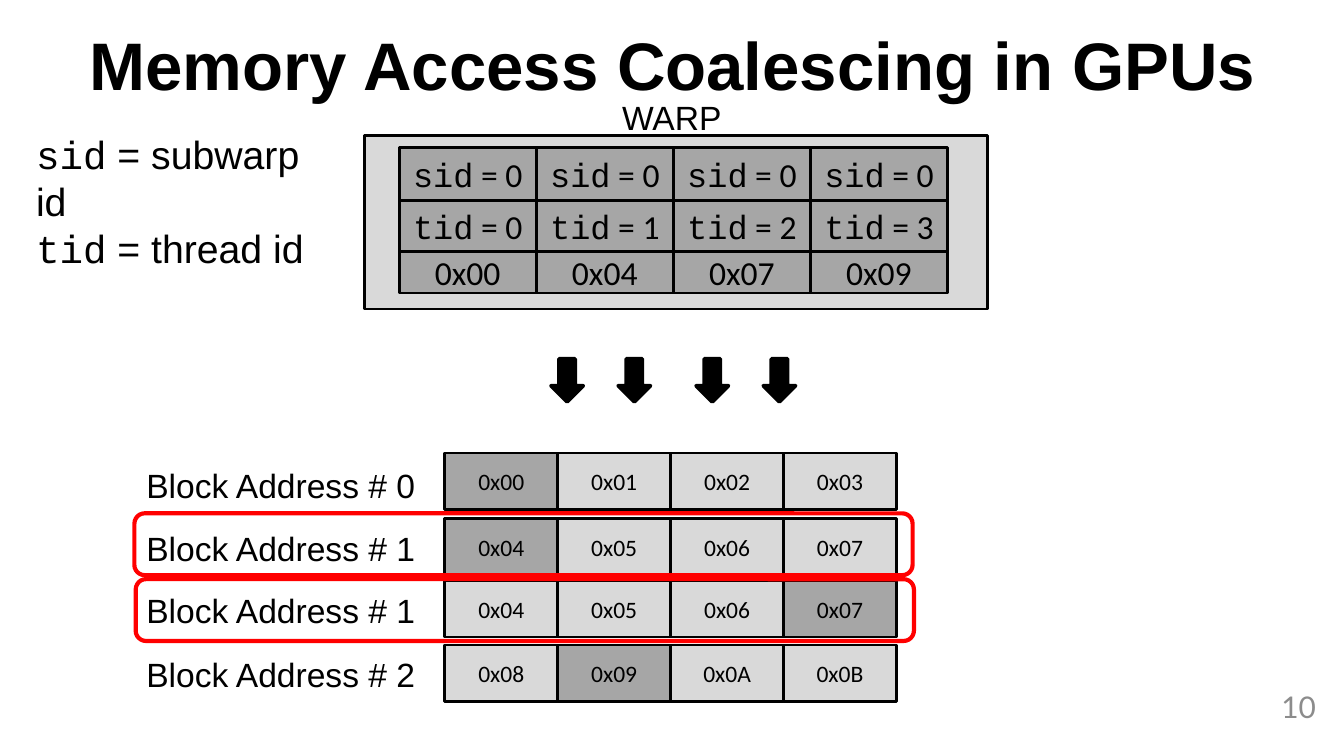
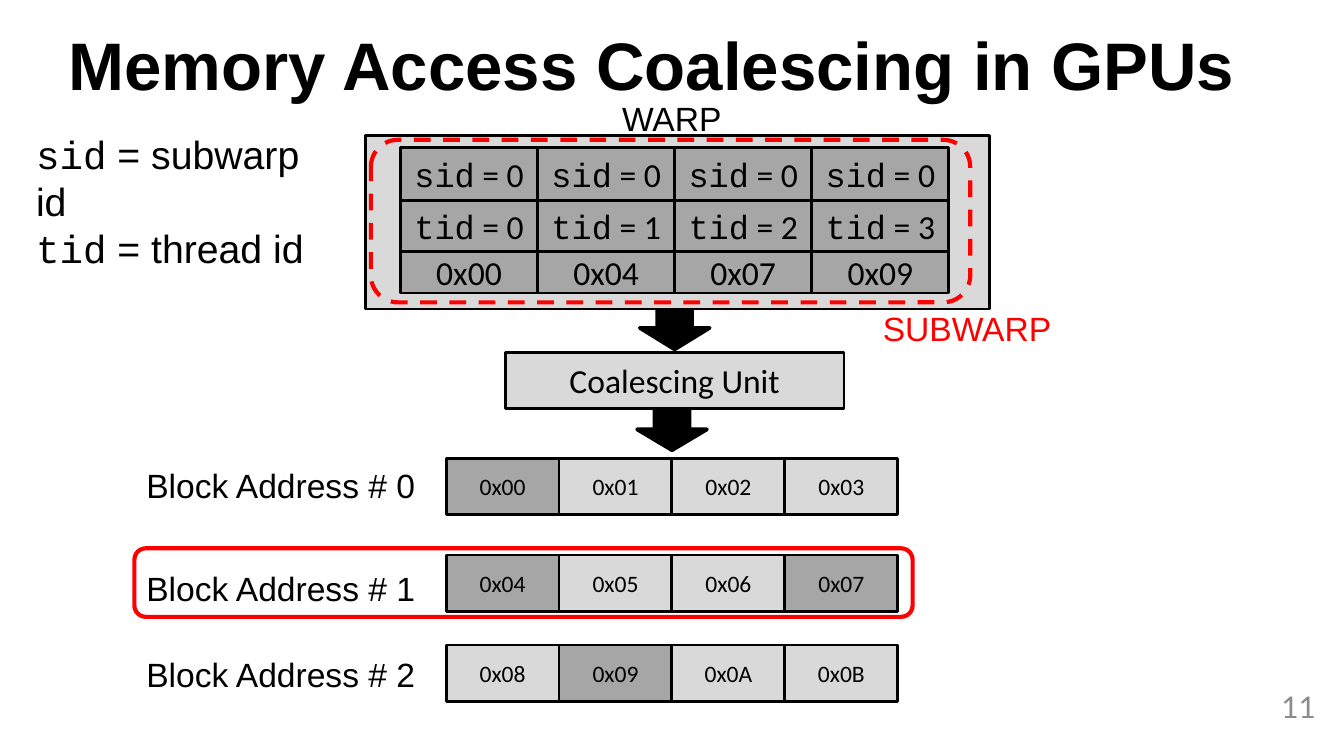
"""Build two slides on memory access coalescing in GPUs."""
from dataclasses import dataclass
from typing import NamedTuple, Optional

from pptx import Presentation
from pptx.dml.color import RGBColor
from pptx.enum.dml import MSO_LINE
from pptx.enum.shapes import MSO_SHAPE
from pptx.enum.text import MSO_ANCHOR, PP_ALIGN
from pptx.util import Inches, Pt

RECT = MSO_SHAPE.RECTANGLE
ROUNDED = MSO_SHAPE.ROUNDED_RECTANGLE
DOWN_ARROW = MSO_SHAPE.DOWN_ARROW
LEFT, CENTER, RIGHT = PP_ALIGN.LEFT, PP_ALIGN.CENTER, PP_ALIGN.RIGHT
TOP, MIDDLE = MSO_ANCHOR.TOP, MSO_ANCHOR.MIDDLE
DASH = MSO_LINE.DASH


@dataclass(frozen=True)
class Theme:
    """Colours, fonts and sizes shared by the slides."""
    ink: RGBColor = RGBColor(0x00, 0x00, 0x00)
    used: RGBColor = RGBColor(0xA6, 0xA6, 0xA6)
    pale: RGBColor = RGBColor(0xD9, 0xD9, 0xD9)
    accent: RGBColor = RGBColor(0xFF, 0x00, 0x00)
    muted: RGBColor = RGBColor(0x8C, 0x8C, 0x8C)
    sans: str = "Arial"
    cell: str = "Calibri"
    mono: str = "Courier New"
    number: str = "Lato"
    title_size: float = 36
    legend_size: float = 21
    body_size: float = 18
    number_size: float = 16
    address_size: float = 12.6
    outline: float = 1.5
    arrow_outline: float = 2
    highlight_outline: float = 2.25


THEME = Theme()


class Area(NamedTuple):
    """Left, top, width and height in inches."""
    left: float
    top: float
    width: float
    height: float


class Span(NamedTuple):
    """A piece of text in one font."""
    text: str
    font: str = THEME.sans


class Style(NamedTuple):
    """Look of a piece of text."""
    size: float = THEME.body_size
    color: RGBColor = THEME.ink
    bold: bool = False
    align: PP_ALIGN = LEFT
    anchor: MSO_ANCHOR = TOP
    wrap: bool = False


class Block(NamedTuple):
    """A memory block row with the offsets that are accessed."""
    number: int
    top: float
    label_top: float
    accessed: tuple


@dataclass(frozen=True)
class Scene:
    """Everything that differs between the slides."""
    page: int
    title_width: float
    shift: float
    warp_label_top: float
    blocks: tuple
    highlights: tuple
    arrows: tuple
    subwarp: Optional[Area] = None
    unit: Optional[Area] = None


TITLE = "Memory Access Coalescing in GPUs"
WARP_ADDRESSES = ("0x00", "0x04", "0x07", "0x09")
CELL_STYLE = Style(align=CENTER, anchor=MIDDLE)
ADDRESS_STYLE = CELL_STYLE._replace(size=THEME.address_size)
LEGEND = (
    (Span("sid", THEME.mono), Span(" = subwarp id")),
    (Span("tid", THEME.mono), Span(" = thread id")),
)
BLOCK_SIZE = 4

SCENES = (
    Scene(
        page=10, title_width=9.77, shift=0, warp_label_top=0.67,
        blocks=(
            Block(0, 3.37, 3.41, (0,)),
            Block(1, 3.86, 3.88, (0,)),
            Block(1, 4.32, 4.34, (3,)),
            Block(2, 4.8, 4.82, (1,)),
        ),
        highlights=(Area(1, 3.82, 5.79, 0.46), Area(1.01, 4.31, 5.79, 0.46)),
        arrows=tuple(Area(left, 2.67, 0.24, 0.32) for left in (4.1, 4.6, 5.18, 5.68)),
    ),
    Scene(
        page=11, title_width=9.46, shift=0.01, warp_label_top=0.68,
        blocks=(
            Block(0, 3.41, 3.41, (0,)),
            Block(1, 4.13, 4.18, (0, 3)),
            Block(2, 4.8, 4.82, (1,)),
        ),
        highlights=(Area(1, 4.08, 5.79, 0.51),),
        arrows=(Area(4.76, 2.28, 0.52, 0.32), Area(4.74, 3.04, 0.52, 0.31)),
        subwarp=Area(2.76, 1.04, 4.46, 1.21),
        unit=Area(3.76, 2.62, 2.52, 0.42),
    ),
)


def lengths(area: Area) -> list:
    """Convert an area to lengths."""
    return [Inches(value) for value in area]


def write(shape, lines: tuple, style: Style) -> None:
    """Fill a shape with lines of spans."""
    frame = shape.text_frame
    frame.word_wrap = style.wrap
    frame.vertical_anchor = style.anchor
    for index, line in enumerate(lines):
        para = frame.add_paragraph() if index else frame.paragraphs[0]
        para.alignment = style.align
        for span in line:
            run = para.add_run()
            run.text = span.text
            run.font.name = span.font
            run.font.size = Pt(style.size)
            run.font.bold = style.bold
            run.font.color.rgb = style.color


def add_text(page, area: Area, lines: tuple, style: Style = Style()) -> None:
    """Add a text box."""
    write(page.shapes.add_textbox(*lengths(area)), lines, style)


def add_figure(page, kind: MSO_SHAPE, area: Area, fill: Optional[RGBColor],
               line: RGBColor = THEME.ink, weight: float = THEME.outline):
    """Add an outlined shape, hollow when it has no fill."""
    shape = page.shapes.add_shape(kind, *lengths(area))
    shape.shadow.inherit = False
    if fill is None:
        shape.fill.background()
    else:
        shape.fill.solid()
        shape.fill.fore_color.rgb = fill
    shape.line.color.rgb = line
    shape.line.width = Pt(weight)
    return shape


def add_cell(page, area: Area, fill: RGBColor, spans: tuple,
             style: Style = CELL_STYLE) -> None:
    """Add a rectangle with one centred line."""
    shape = add_figure(page, RECT, area, fill)
    frame = shape.text_frame
    frame.margin_left = frame.margin_right = Inches(0.03)
    frame.margin_top = frame.margin_bottom = Inches(0.01)
    write(shape, (spans,), style)


def add_highlight(page, area: Area):
    """Add a hollow red rounded frame."""
    return add_figure(page, ROUNDED, area, None, THEME.accent, THEME.highlight_outline)


def add_frame(page, scene: Scene) -> None:
    """Add the title, the page number and the legend."""
    title_style = Style(THEME.title_size, bold=True, align=CENTER, anchor=MIDDLE, wrap=True)
    add_text(page, Area(0.12, 0.01, scene.title_width, 0.93), ((Span(TITLE),),), title_style)
    number_style = Style(THEME.number_size, THEME.muted, align=RIGHT, anchor=MIDDLE, wrap=True)
    add_text(page, Area(7.56, 5.11, 2.33, 0.3),
             ((Span(str(scene.page), THEME.number),),), number_style)
    add_text(page, Area(0.17, 0.92, 2.4, 1.15), LEGEND, Style(THEME.legend_size, wrap=True))


def add_warp(page, scene: Scene) -> None:
    """Add the warp panel with its threads."""
    add_figure(page, RECT, Area(2.71 + scene.shift, 1.01, 4.64, 1.29), THEME.pale)
    for thread, address in enumerate(WARP_ADDRESSES):
        left = 2.97 + scene.shift + 1.02 * thread
        rows = (
            (1.1, 0.39, (Span("sid", THEME.mono), Span(" = 0", THEME.cell))),
            (1.49, 0.39, (Span("tid", THEME.mono), Span(f" = {thread}", THEME.cell))),
            (1.87, 0.31, (Span(address, THEME.cell),)),
        )
        for top, height, spans in rows:
            add_cell(page, Area(left, top, 1.02, height), THEME.used, spans)
    add_text(page, Area(4.53, scene.warp_label_top, 0.95, 0.4), ((Span("WARP"),),))
    if scene.subwarp:
        add_highlight(page, scene.subwarp).line.dash_style = DASH
        add_text(page, Area(6.47, 2.24, 1.47, 0.4), ((Span("SUBWARP"),),),
                 Style(color=THEME.accent))


def add_block(page, block: Block, shift: float) -> None:
    """Add a memory block row and its label."""
    for offset in range(BLOCK_SIZE):
        address = f"0x{block.number * BLOCK_SIZE + offset:02X}"
        fill = THEME.used if offset in block.accessed else THEME.pale
        add_cell(page, Area(3.31 + shift + 0.84 * offset, block.top, 0.84, 0.42), fill,
                 (Span(address, THEME.cell),), ADDRESS_STYLE)
    add_text(page, Area(0.99, block.label_top, 2.22, 0.4),
             ((Span(f"Block Address # {block.number}"),),))


def add_scene(deck, scene: Scene) -> None:
    """Add one whole slide."""
    page = deck.slides.add_slide(deck.slide_layouts[6])
    add_frame(page, scene)
    for area in scene.arrows:
        add_figure(page, DOWN_ARROW, area, THEME.ink, weight=THEME.arrow_outline)
    add_warp(page, scene)
    if scene.unit:
        add_cell(page, scene.unit, THEME.pale, (Span("Coalescing Unit", THEME.cell),))
    for block in scene.blocks:
        add_block(page, block, scene.shift)
    for area in scene.highlights:
        add_highlight(page, area)


def main() -> None:
    """Build and save the deck."""
    deck = Presentation()
    deck.slide_width = Inches(10)
    deck.slide_height = Inches(10 * 9 / 16)
    for scene in SCENES:
        add_scene(deck, scene)
    deck.save("out.pptx")


if __name__ == "__main__":
    main()
